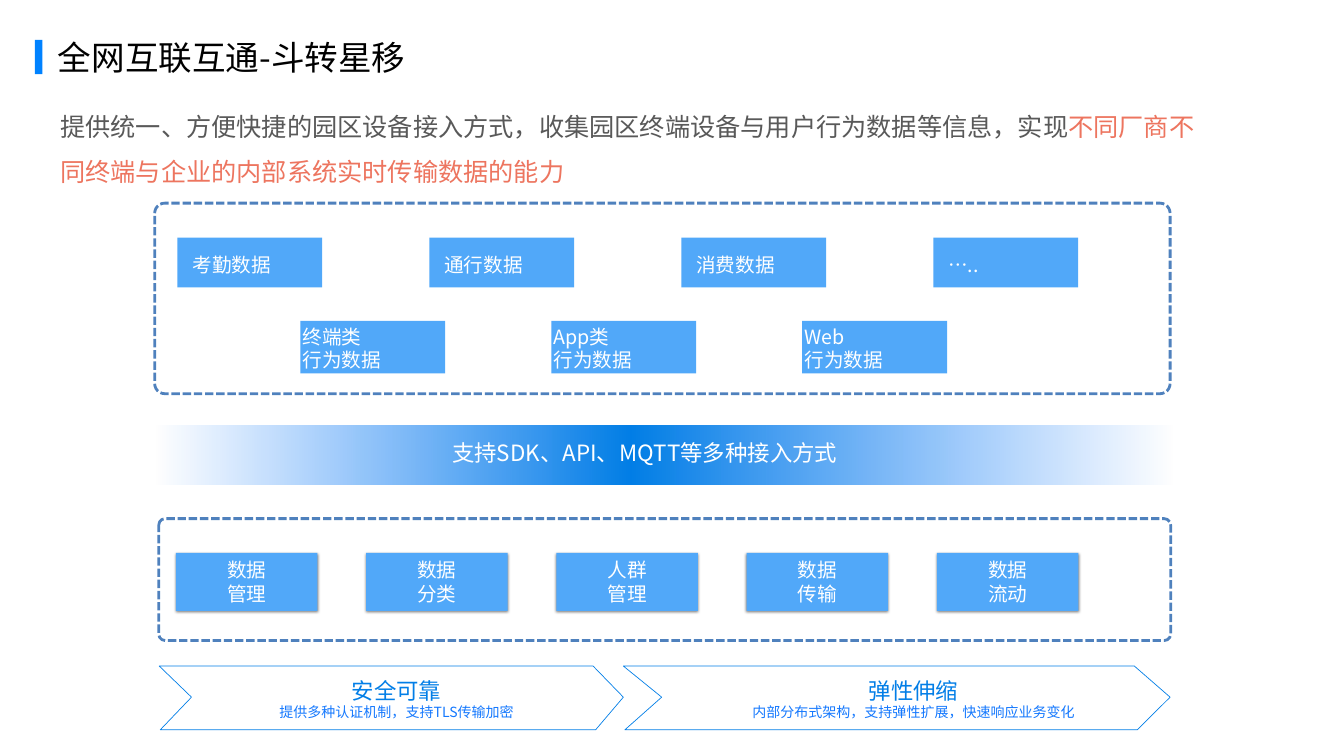
import pptx
import pptx.util
import pptx.dml.color
import pptx.enum.dml
import pptx.enum.shapes
import pptx.enum.text
import pptx.oxml.ns
import lxml.etree

Pt = pptx.util.Pt
qn = pptx.oxml.ns.qn
Align = pptx.enum.text.PP_ALIGN
Anchor = pptx.enum.text.MSO_ANCHOR
Shape = pptx.enum.shapes.MSO_SHAPE

FONT = "Noto Sans CJK SC"
WHITE, BLACK, GREY, CORAL = "FFFFFF", "000000", "595959", "ED755F"
ACCENT, CARD, DASH = "0082FF", "51A8F9", "4F81BD"
BAND, BAND_END, NOTE = "027EE7", "1178FE", "1478FE"

TITLE = "全网互联互通-斗转星移"
INTRO = [
    ("提供统一、方便快捷的园区设备接入方式，收集园区终端设备与用户行为数据等信息，实现", 36, GREY),
    ("不同厂商不同终端与企业的内部系统实时传输数据的能力", 36, CORAL),
]
ACCESS = "支持SDK、API、MQTT等多种接入方式"
# Each row: card texts, left, top, step, width, height, format
CARD_ROWS = [
    ([["考勤数据"], ["通行数据"], ["消费数据"], ["….."]],
     253.4, 339.5, 360, 207, 71, {"insets": (21.6, 5, 3.6, 0)}),
    ([["终端类", "行为数据"], ["App类", "行为数据"], ["Web", "行为数据"]],
     429, 458.6, 358.6, 207, 75, {"insets": (3.6, 6, 3.6, 3.6)}),
    ([["数据", "管理"], ["数据", "分类"], ["人群", "管理"], ["数据", "传输"], ["数据", "流动"]],
     251.3, 789.8, 271.8, 202.3, 82.8,
     {"insets": (5.8, 5.8, 5.8, 5.8), "align": Align.CENTER}),
]
SHADOW_ROW = 2
FRAMES = [(221, 290.2, 1450.8, 272.2), (226.8, 740.9, 1445.8, 174.2)]
# Each arrow: heading, note, (left, notch, lower left, shoulder, lower shoulder, tip), text left, text width
ARROWS = [
    ("安全可靠", "提供多种认证机制，支持TLS传输加密",
     (227.5, 273.6, 229, 847.4, 851, 890.6), 311, 511.2),
    ("弹性伸缩", "内部分布式架构，支持弹性扩展，快速响应业务变化",
     (890.6, 945.4, 892.8, 1620.7, 1625, 1671.8), 1056.2, 498.2),
]
ARROW_TOP, ARROW_MIDDLE, ARROW_BOTTOM = 951.5, 996, 1042.6


def rgb(value):
    return pptx.dml.color.RGBColor.from_string(value)


def add_child(parent, tag, **attributes):
    return lxml.etree.SubElement(parent, qn(tag), attributes)


def write(shape, paragraphs, insets=(3.6, 3.6, 3.6, 3.6), align=Align.LEFT,
          anchor=Anchor.TOP, spacing=None):
    """Fill a shape with paragraphs, each a list of (text, size, colour) spans."""
    frame = shape.text_frame
    settings = {"word_wrap": True, "vertical_anchor": anchor}
    for side, inset in zip(("left", "top", "right", "bottom"), insets):
        settings["margin_" + side] = Pt(inset)
    for name, value in settings.items():
        setattr(frame, name, value)
    for index, spans in enumerate(paragraphs):
        para = frame.add_paragraph() if index else frame.paragraphs[0]
        para.alignment = align
        para.line_spacing = spacing
        for text, size, color in spans:
            span = para.add_run()
            span.text = text
            span.font.size = Pt(size)
            span.font.color.rgb = rgb(color)
            span.font.name = FONT
            add_child(span.font._element, "a:ea", typeface=FONT)


def add_text(page, place, paragraphs, **layout):
    box = page.shapes.add_textbox(*map(Pt, place))
    write(box, paragraphs, **layout)


def add_block(page, place, fill=None, kind=Shape.RECTANGLE):
    block = page.shapes.add_shape(kind, *map(Pt, place))
    block.shadow.inherit = False
    block.line.fill.background()
    if fill:
        block.fill.solid()
        block.fill.fore_color.rgb = rgb(fill)
    else:
        block.fill.background()
    return block


def add_frame(page, place):
    frame = add_block(page, place, kind=Shape.ROUNDED_RECTANGLE)
    frame.adjustments[0] = 0.053
    frame.line.color.rgb = rgb(DASH)
    frame.line.width = Pt(4)
    frame.line.dash_style = pptx.enum.dml.MSO_LINE.SQUARE_DOT


def add_fading_band(page, place, angle):
    band = add_block(page, place, BAND)
    band.fill.gradient()
    band.fill.gradient_angle = angle
    for stop, color in zip(band.fill.gradient_stops, (BAND, BAND_END)):
        stop.color.rgb = rgb(color)
    last_color = band._element.xpath(".//a:gs")[-1][0]
    add_child(last_color, "a:alpha", val="0")


def add_drop_shadow(shape):
    effects = shape._element.spPr.find(qn("a:effectLst"))
    shadow = add_child(effects, "a:outerShdw", blurRad=str(Pt(4)), dist=str(Pt(2)),
                       dir="5400000", algn="ctr", rotWithShape="0")
    add_child(add_child(shadow, "a:srgbClr", val=BLACK), "a:alpha", val="50000")


def add_arrow(page, edges):
    left, notch, low_left, shoulder, low_shoulder, tip = edges
    builder = page.shapes.build_freeform(Pt(left), Pt(ARROW_TOP))
    corners = [(notch, ARROW_MIDDLE), (low_left, ARROW_BOTTOM), (low_shoulder, ARROW_BOTTOM),
               (tip, ARROW_MIDDLE), (shoulder, ARROW_TOP)]
    builder.add_line_segments([(Pt(x), Pt(y)) for x, y in corners], close=True)
    arrow = builder.convert_to_shape()
    arrow.shadow.inherit = False
    arrow.fill.solid()
    arrow.fill.fore_color.rgb = rgb(WHITE)
    arrow.line.color.rgb = rgb(BAND)
    arrow.line.width = Pt(1)


def main():
    deck = pptx.Presentation()
    deck.slide_width, deck.slide_height = Pt(1920.24), Pt(1080)
    page = deck.slides.add_slide(deck.slide_layouts[6])

    add_block(page, (49.7, 56.9, 10.8, 49), ACCENT)
    add_text(page, (79.2, 55.4, 512.6, 59.8), [[(TITLE, 48, BLACK)]], spacing=0.9)

    for place in FRAMES:
        add_frame(page, place)

    for row, (cards, left, top, step, width, height, layout) in enumerate(CARD_ROWS):
        for column, lines in enumerate(cards):
            card = add_block(page, (left + column * step, top, width, height), CARD)
            write(card, [[(line, 28, WHITE)] for line in lines], anchor=Anchor.MIDDLE, **layout)
            if row == SHADOW_ROW:
                add_drop_shadow(card)

    add_fading_band(page, (221, 607.7, 680.4, 85), 180)
    add_fading_band(page, (901.4, 607.7, 777.6, 85), 0)
    add_text(page, (319.7, 624.2, 1203, 44.6), [[(ACCESS, 32, WHITE)]],
             insets=(2.9,) * 4, align=Align.CENTER)

    for heading, note, edges, text_left, text_width in ARROWS:
        add_arrow(page, edges)
        add_text(page, (text_left, 966.2, text_width, 63.4),
                 [[(heading, 32, BAND)], [(note, 20, NOTE)]],
                 insets=(0,) * 4, align=Align.CENTER, anchor=Anchor.MIDDLE)

    add_text(page, (79.2, 133.2, 1659.6, 130.3), [INTRO],
             insets=(7.2, 3.6, 7.2, 3.6), spacing=1.5)
    deck.save("out.pptx")


if __name__ == "__main__":
    main()
